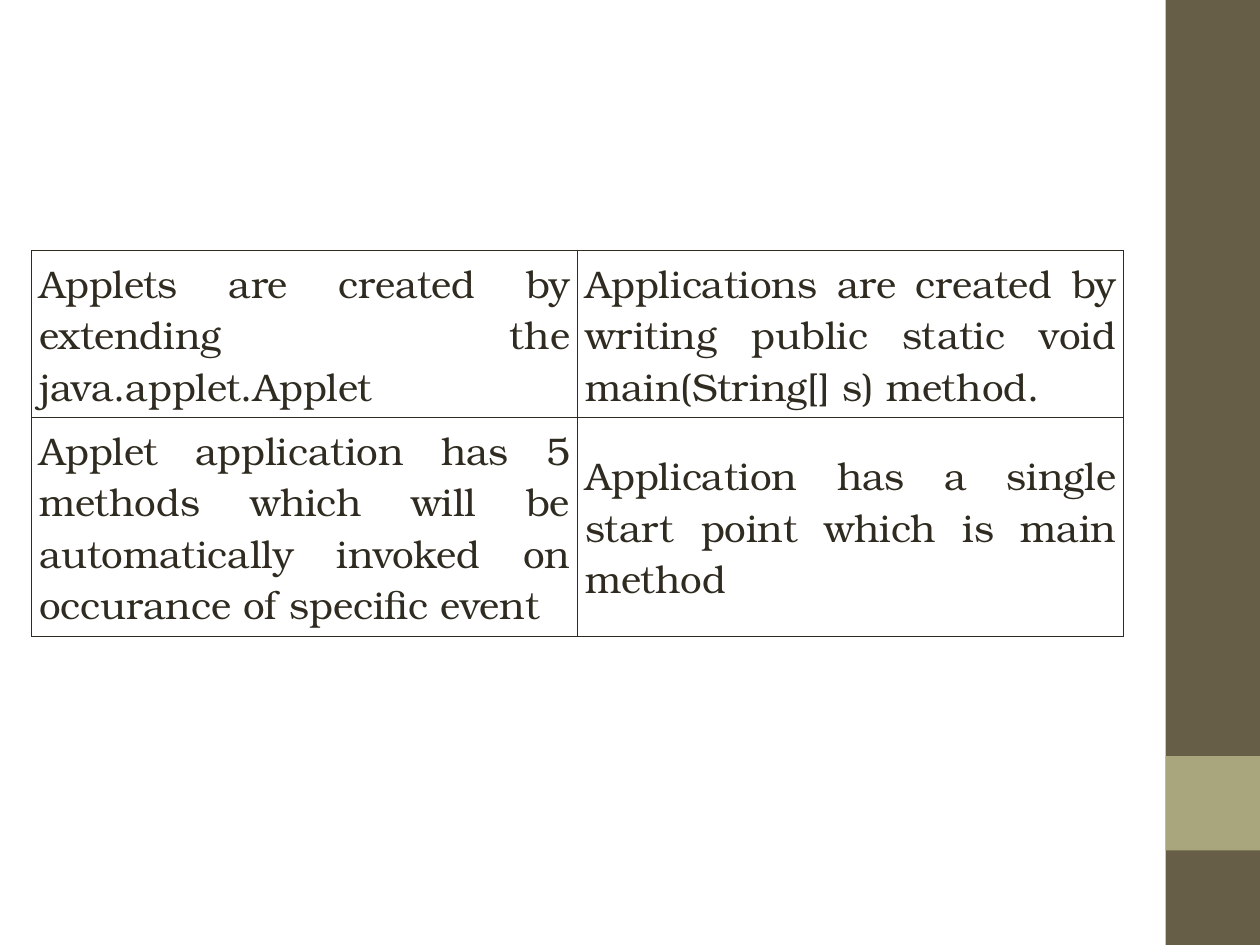
from lxml import etree
from pptx import Presentation, util as u
from pptx.dml.color import RGBColor
from pptx.enum import shapes, text
from pptx.oxml import ns

OLIVE = RGBColor(0x67, 0x5E, 0x47)
SAGE = RGBColor(0xA9, 0xA5, 0x7C)
INK = RGBColor(0x2F, 0x2B, 0x20)
FONT = "TeX Gyre Bonum"
BORDER = u.Pt(0.45)
ROW_HEIGHTS = (1.21, 1.58)
COMPARISON = (
    ("Applets are created by extending the java.applet.Applet",
     "Applications are created by writing public static void main(String[] s) method."),
    ("Applet application has 5 methods which will be automatically invoked on "
     "occurance of specific event",
     "Application has a single start point which is main method"),
)


def add_block(slide, left, top, width, height, color):
    """Draw one plain filled rectangle."""
    block = slide.shapes.add_shape(
        shapes.MSO_SHAPE.RECTANGLE, left, top, width, height)
    block.shadow.inherit = False
    block.fill.solid()
    block.fill.fore_color.rgb = color
    block.line.fill.background()


def add_sidebar(slide, left, top, width, height):
    """Draw the side band with its square accent at four fifths of the height."""
    add_block(slide, left, top, width, height, OLIVE)
    add_block(slide, left, top + int(height * 0.8), width, width, SAGE)


def add_borders(cell):
    """Outline all four sides of a cell."""
    properties = cell._tc.get_or_add_tcPr()
    for position, side in enumerate(("lnL", "lnR", "lnT", "lnB")):
        line = etree.Element(ns.qn(f"a:{side}"), w=str(int(BORDER)))
        fill = etree.SubElement(line, ns.qn("a:solidFill"))
        etree.SubElement(fill, ns.qn("a:srgbClr"), val=str(INK))
        properties.insert(position, line)


def format_cell(cell, wording):
    """Fill a cell with justified, vertically centred text."""
    cell.text_frame.text = wording
    cell.vertical_anchor = text.MSO_ANCHOR.MIDDLE
    cell.margin_left = cell.margin_right = u.Inches(0.06)
    cell.margin_top = cell.margin_bottom = u.Inches(0.05)
    cell.fill.background()
    add_borders(cell)
    paragraph = cell.text_frame.paragraphs[0]
    paragraph.alignment = text.PP_ALIGN.JUSTIFY
    font = paragraph.runs[0].font
    font.name, font.size, font.bold = FONT, u.Pt(22), False
    font.color.rgb = INK


def add_comparison(slide, left, top, width, height):
    """Place the applet and application table in two equal columns."""
    table = slide.shapes.add_table(
        len(COMPARISON), len(COMPARISON[0]), left, top, width, height).table
    table.first_row = table.horz_banding = False
    for row, row_height, wordings in zip(table.rows, ROW_HEIGHTS, COMPARISON):
        row.height = u.Inches(row_height)
        for cell, wording in zip(row.cells, wordings):
            format_cell(cell, wording)


def main():
    """Build and save the slide."""
    deck = Presentation()
    deck.slide_width, deck.slide_height = u.Inches(10), u.Inches(7.5)
    slide = deck.slides.add_slide(deck.slide_layouts[6])
    band = u.Inches(0.75)
    add_sidebar(slide, deck.slide_width - band, 0, band, deck.slide_height)
    add_comparison(slide, u.Inches(0.25), u.Inches(1.99),
                   u.Inches(8.67), u.Inches(sum(ROW_HEIGHTS)))
    deck.save("out.pptx")


if __name__ == "__main__":
    main()
